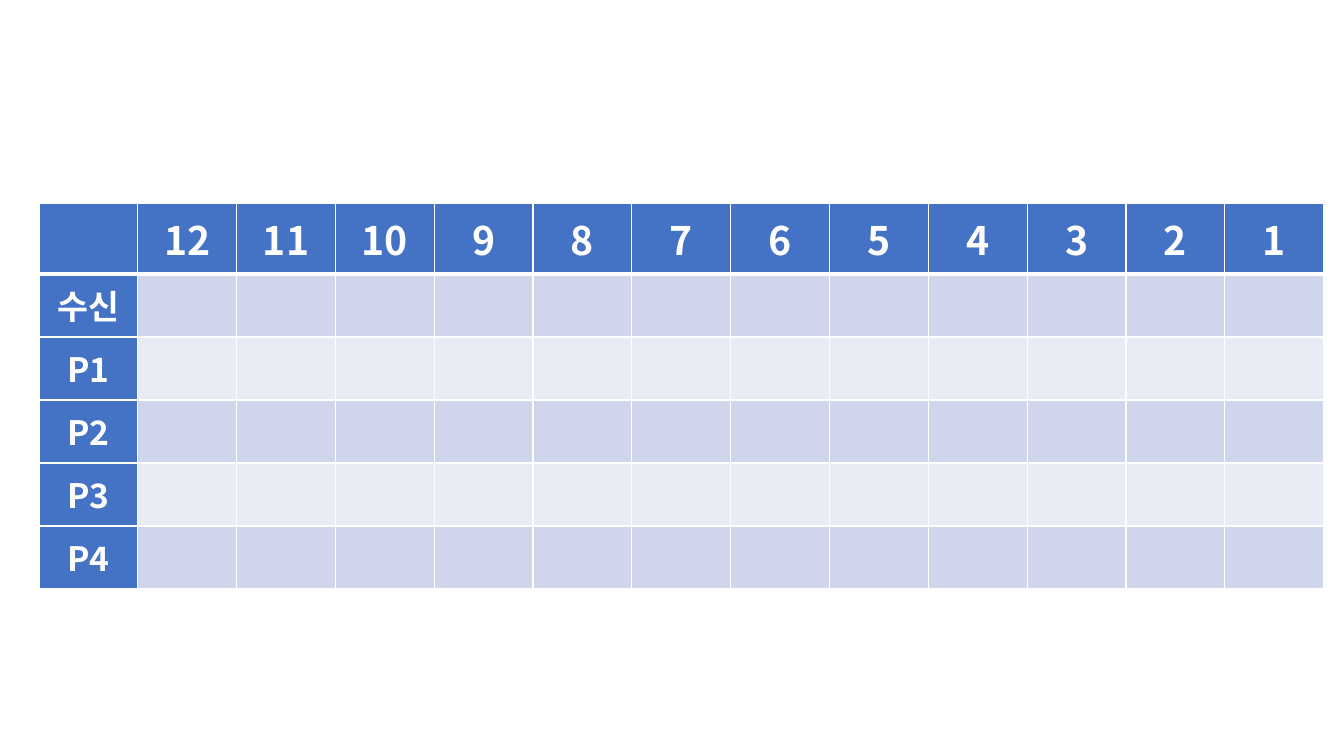
from pptx import Presentation
from pptx.dml.color import RGBColor
from pptx.enum.text import MSO_ANCHOR, PP_ALIGN
from pptx.oxml.ns import qn
from pptx.util import Pt
from lxml.etree import SubElement

EMU_PER_PIXEL = 12192000 / 1344
FONT = "Noto Sans CJK KR"
WHITE, HEADING = "FFFFFF", "4472C4"
BANDS = ("CFD5EA", "E9EBF5")
SLOTS = [str(number) for number in range(12, 0, -1)]
ROW_NAMES = ["수신", "P1", "P2", "P3", "P4"]
HEADER_HEIGHT, ROW_HEIGHT = 71, 63


def px(pixels):
    """Turn pixels into EMU."""
    return round(pixels * EMU_PER_PIXEL)


def color(value):
    """Turn a hex string into a colour."""
    return RGBColor.from_string(value)


def write_text(cell, text, size, font=FONT, fill=WHITE, bold=True,
               align=PP_ALIGN.CENTER):
    """Write one formatted run into a cell."""
    paragraph = cell.text_frame.paragraphs[0]
    paragraph.alignment = align
    run = paragraph.add_run()
    run.text = text
    run.font.size = Pt(size)
    run.font.bold = bold
    run.font.color.rgb = color(fill)
    run.font.name = font
    SubElement(run.font._element, qn("a:ea"), typeface=font)


def add_borders(cell, **widths):
    """Draw white cell borders; widths in points are keyed by side L, R, T, B."""
    properties = cell._tc.get_or_add_tcPr()
    for side, width in widths.items():
        line = SubElement(properties, qn(f"a:ln{side}"), w=str(Pt(width)))
        fill = SubElement(line, qn("a:solidFill"))
        SubElement(fill, qn("a:srgbClr"), val=WHITE)


def style_cell(cell, fill, top=1, bottom=1):
    """Give a cell its borders, fill and margins."""
    add_borders(cell, L=1, R=1, T=top, B=bottom)
    cell.fill.solid()
    cell.fill.fore_color.rgb = color(fill)
    cell.margin_left = cell.margin_right = px(14)
    cell.margin_top = cell.margin_bottom = px(7)
    cell.vertical_anchor = MSO_ANCHOR.TOP


def add_schedule(slide, left, top, width):
    """Add the table of numbered slots with one row per name."""
    height = HEADER_HEIGHT + ROW_HEIGHT * len(ROW_NAMES)
    table = slide.shapes.add_table(
        len(ROW_NAMES) + 1, len(SLOTS) + 1,
        px(left), px(top), px(width), px(height)).table
    table.first_col = True
    for index, row in enumerate(table.rows):
        row.height = px(ROW_HEIGHT if index else HEADER_HEIGHT)
        for column, cell in enumerate(row.cells):
            is_heading = index == 0 or column == 0
            style_cell(cell, HEADING if is_heading else BANDS[(index - 1) % 2],
                       top=3 if index == 1 else 1,
                       bottom=3 if index == 0 else 1)
    for column, slot in enumerate(SLOTS, 1):
        write_text(table.cell(0, column), slot, size=28)
    for index, name in enumerate(ROW_NAMES, 1):
        write_text(table.cell(index, 0), name, size=24)


def main():
    """Build and save the slide."""
    presentation = Presentation()
    presentation.slide_width, presentation.slide_height = px(1344), px(756)
    slide = presentation.slides.add_slide(presentation.slide_layouts[6])
    add_schedule(slide, left=39, top=203, width=1285)
    presentation.save("out.pptx")


main()
